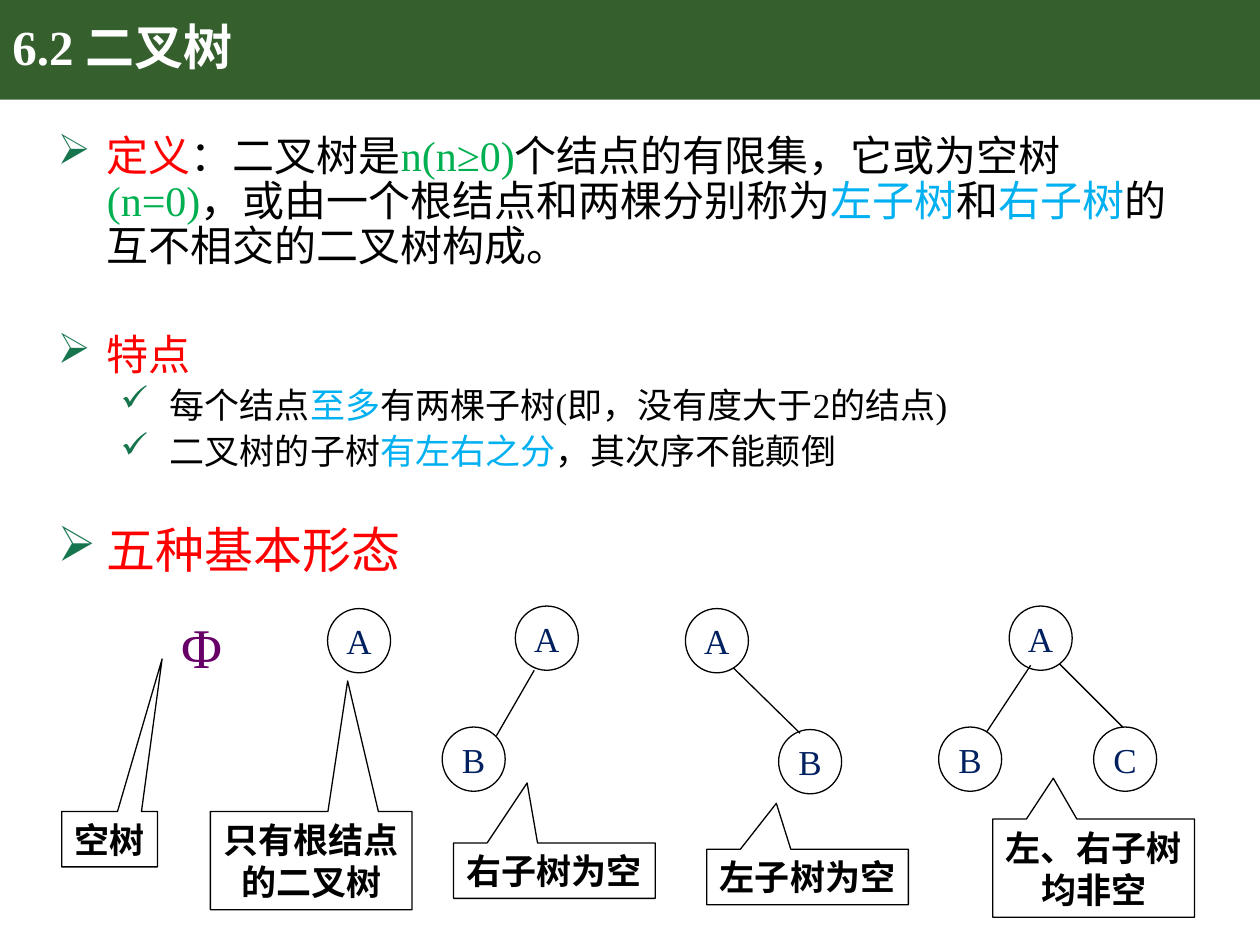
from lxml import etree
from pptx import Presentation
from pptx.dml.color import RGBColor
from pptx.enum import shapes, text
from pptx.oxml.ns import qn
from pptx.util import Inches, Pt

FONT = "Times New Roman"
BLACK = RGBColor(0, 0, 0)
WHITE = RGBColor(0xFF, 0xFF, 0xFF)
BANNER = RGBColor(0x36, 0x5F, 0x2E)
BULLET = RGBColor(0x16, 0x75, 0x4D)
RED = RGBColor(0xFF, 0, 0)
GREEN = RGBColor(0, 0xB0, 0x50)
BLUE = RGBColor(0, 0xB0, 0xF0)
NAVY = RGBColor(0, 0x20, 0x60)
PURPLE = RGBColor(0x66, 0, 0x66)

TITLE = "6.2 二叉树"

# Outline: level, size, space before, runs of (text, colour)
OUTLINE = [
    (1, 24, 0, [("定义", RED), ("：二叉树是", BLACK), ("n(n≥0)", GREEN),
                ("个结点的有限集，它或为空树", BLACK), ("(n=0)", GREEN),
                ("，或由一个根结点和两棵分别称为", BLACK), ("左子树", BLUE),
                ("和", BLACK), ("右子树", BLUE), ("的互不相交的二叉树构成。", BLACK)]),
    (1, 24, 36, [("特点", RED)]),
    (2, 20, 5, [("每个结点", BLACK), ("至多", BLUE),
                ("有两棵子树(即，没有度大于2的结点)", BLACK)]),
    (2, 20, 5, [("二叉树的子树", BLACK), ("有左右之分", BLUE),
                ("，其次序不能颠倒", BLACK)]),
    (1, 28, 31, [("五种基本形态", RED)]),
]
BULLETS = {1: ("➢", 0.75), 2: ("✓", 1.25)}  # character, left margin
HANGING = 0.39

# Five forms: nodes (label, left, top), edges (from, to),
# callout (lines, left, top, width, height, pointer offsets)
FORMS = [
    {"nodes": [], "edges": [],
     "callout": (["空树"], 0.49, 6.44, 0.76, 0.44, (0.549, -3.25))},
    {"nodes": [("A", 2.6, 4.83)], "edges": [],
     "callout": (["只有根结点", "的二叉树"], 1.67, 6.44, 1.6, 0.78, (0.181, -1.828))},
    {"nodes": [("A", 4.09, 4.81), ("B", 3.51, 5.77)],
     "edges": [((4.24, 5.32), (3.94, 5.84))],
     "callout": (["右子树为空"], 3.6, 6.69, 1.6, 0.44, (-0.135, -1.582))},
    {"nodes": [("A", 5.44, 4.83), ("B", 6.18, 5.79)],
     "edges": [((5.82, 5.3), (6.35, 5.82))],
     "callout": (["左子树为空"], 5.61, 6.74, 1.6, 0.44, (-0.155, -1.328))},
    {"nodes": [("A", 8.01, 4.81), ("B", 7.45, 5.77), ("C", 8.68, 5.77)],
     "edges": [((8.18, 5.28), (7.83, 5.81)), ((8.41, 5.27), (8.91, 5.77))],
     "callout": (["左、右子树", "均非空"], 7.88, 6.5, 1.6, 0.78, (-0.2, -0.915))},
]
NODE_SIZE = (0.5, 0.51)


def add_bullet(paragraph, level):
    character, margin = BULLETS[level]
    properties = paragraph._p.get_or_add_pPr()
    properties.set("marL", str(Inches(margin)))
    properties.set("indent", str(-Inches(HANGING)))
    colour = etree.SubElement(properties, qn("a:buClr"))
    etree.SubElement(colour, qn("a:srgbClr")).set("val", str(BULLET))
    etree.SubElement(properties, qn("a:buChar")).set("char", character)


def write(paragraph, content, size=20, colour=BLACK, bold=False, align=None):
    if align is not None:
        paragraph.alignment = align
    run = paragraph.add_run()
    run.text = content
    run.font.name = FONT
    run.font.size = Pt(size)
    run.font.bold = bold
    run.font.color.rgb = colour


def write_lines(shape, lines, wrap=False, **style):
    frame = shape.text_frame
    frame.word_wrap = wrap
    frame.vertical_anchor = text.MSO_ANCHOR.MIDDLE
    for number, line in enumerate(lines):
        paragraph = frame.add_paragraph() if number else frame.paragraphs[0]
        write(paragraph, line, **style)


def add_shape(slide, kind, box, fill=None):
    shape = slide.shapes.add_shape(kind, *map(Inches, box))
    shape.shadow.inherit = False
    if fill is None:
        shape.fill.background()
        shape.line.color.rgb = BLACK
        shape.line.width = Pt(0.75)
    else:
        shape.fill.solid()
        shape.fill.fore_color.rgb = fill
        shape.line.fill.background()
    return shape


def add_textbox(slide, *box):
    return slide.shapes.add_textbox(*map(Inches, box))


def add_edge(slide, start, end):
    edge = slide.shapes.add_connector(
        shapes.MSO_CONNECTOR.STRAIGHT, *map(Inches, start + end))
    edge.line.color.rgb = BLACK
    edge.line.width = Pt(0.75)
    etree.SubElement(edge._element.spPr, qn("a:effectLst"))


def main():
    presentation = Presentation()
    presentation.slide_width = Inches(10)
    presentation.slide_height = Inches(7.5)
    slide = presentation.slides.add_slide(presentation.slide_layouts[6])
    centre = text.PP_ALIGN.CENTER

    # Title banner
    add_shape(slide, shapes.MSO_SHAPE.RECTANGLE, (0, 0, 10, 0.79), fill=BANNER)
    title = add_textbox(slide, 0, 0, 8.62, 0.79)
    write_lines(title, [TITLE], wrap=True, size=28, colour=WHITE, bold=True)
    title.text_frame.paragraphs[0].line_spacing = 0.9

    # Outline
    frame = add_textbox(slide, 0, 1.02, 9.54, 3.72).text_frame
    frame.word_wrap = True
    for number, (level, size, before, runs) in enumerate(OUTLINE):
        paragraph = frame.add_paragraph() if number else frame.paragraphs[0]
        paragraph.level = level
        add_bullet(paragraph, level)
        paragraph.line_spacing = 0.9
        paragraph.space_before = Pt(before)
        for content, colour in runs:
            write(paragraph, content, size=size, colour=colour)

    # Empty tree symbol
    symbol = add_textbox(slide, 1.33, 4.81, 0.54, 0.63)
    write_lines(symbol, ["Φ"], size=32, colour=PURPLE, align=centre)

    # Trees with their callouts
    for form in FORMS:
        for label, left, top in form["nodes"]:
            node = add_shape(slide, shapes.MSO_SHAPE.OVAL, (left, top) + NODE_SIZE)
            write_lines(node, [label], colour=NAVY, align=centre)
        for start, end in form["edges"]:
            add_edge(slide, start, end)
        lines, *box, pointer = form["callout"]
        callout = add_shape(slide, shapes.MSO_SHAPE.RECTANGULAR_CALLOUT, box)
        for number, offset in enumerate(pointer):
            callout.adjustments[number] = offset
        write_lines(callout, lines, bold=True, align=centre)

    presentation.save("out.pptx")


if __name__ == "__main__":
    main()
